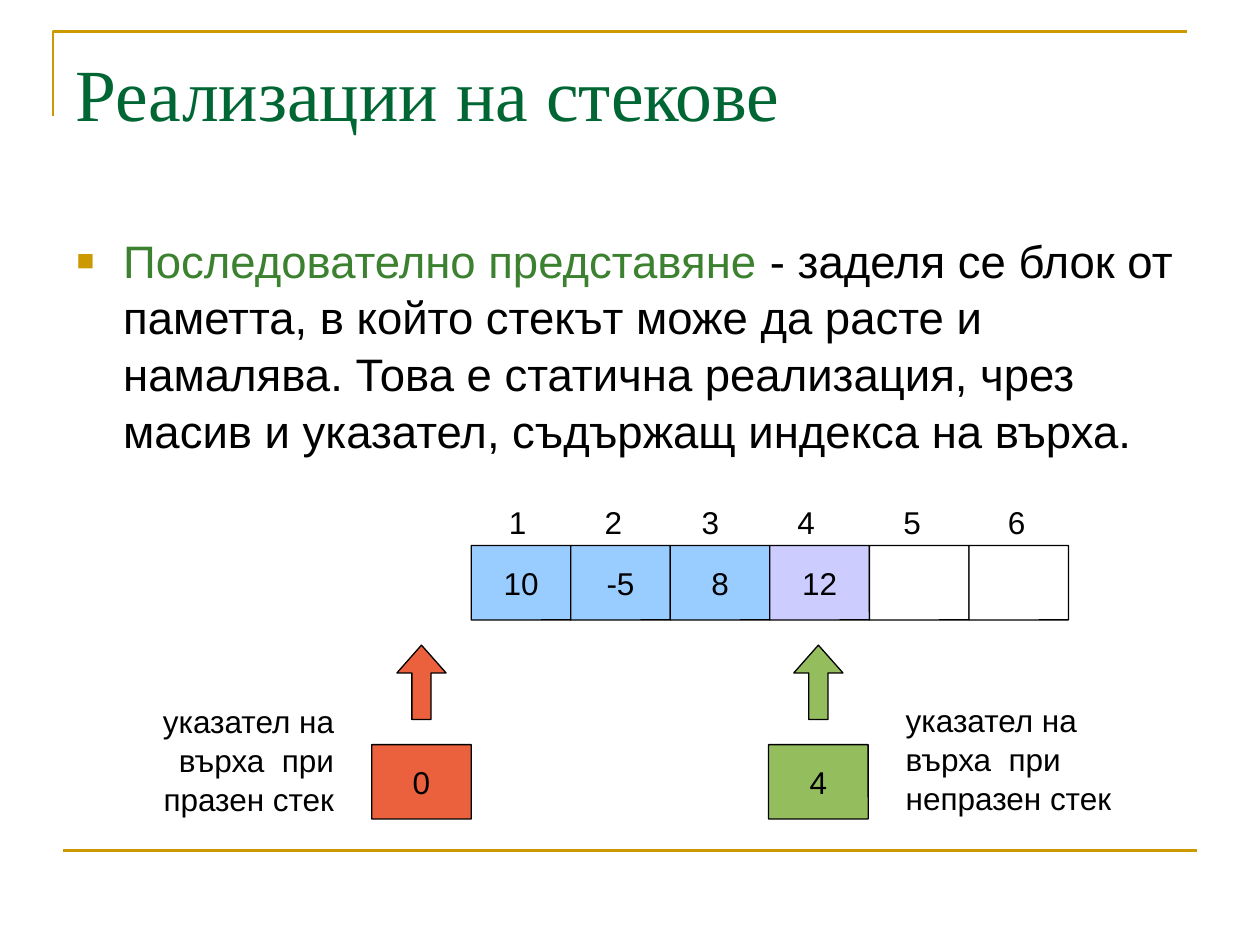
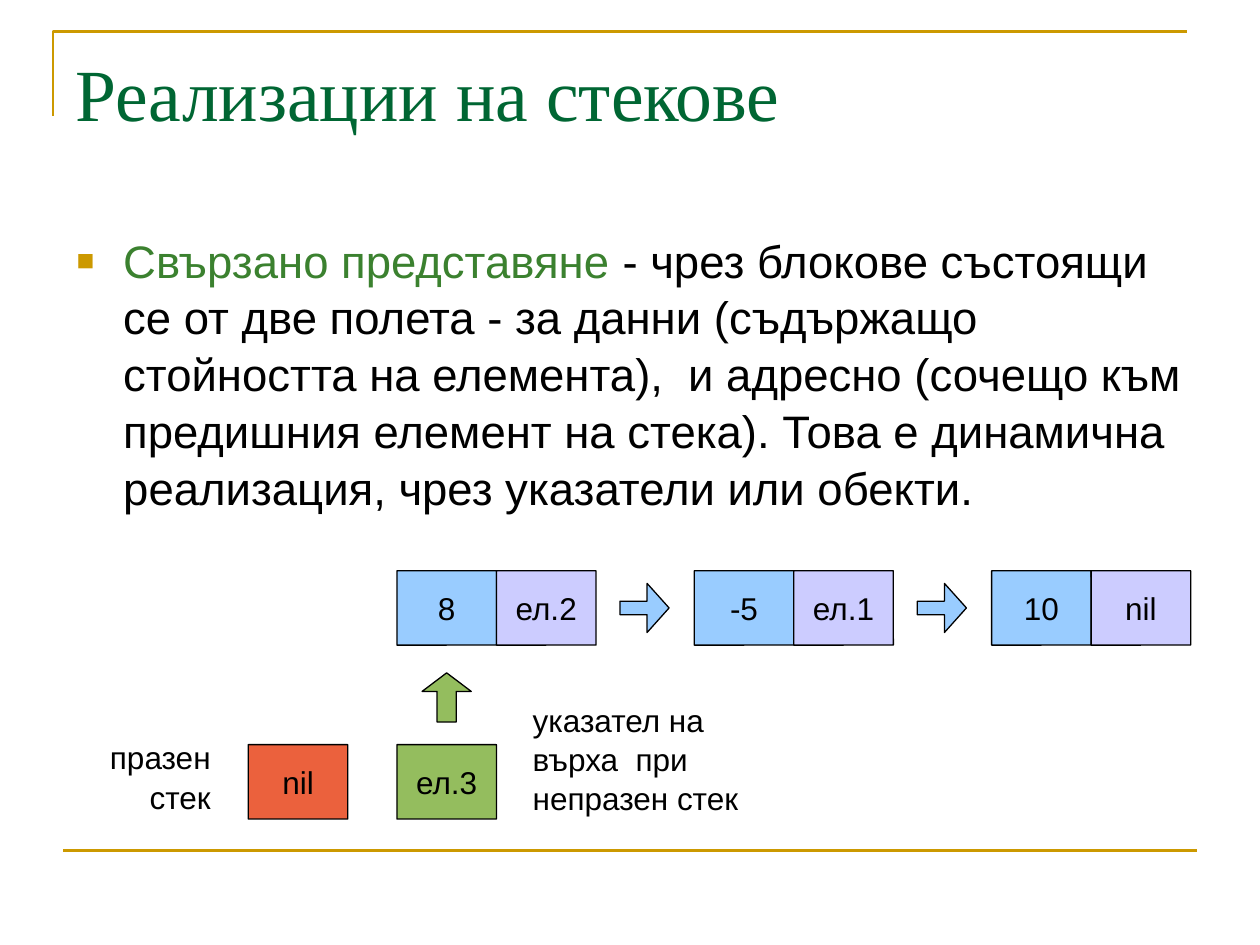
from dataclasses import dataclass

from lxml import etree
from pptx import Presentation
from pptx.dml.color import RGBColor
from pptx.enum.shapes import MSO_CONNECTOR, MSO_SHAPE
from pptx.enum.text import MSO_ANCHOR, MSO_AUTO_SIZE, PP_ALIGN
from pptx.oxml.ns import qn
from pptx.util import Inches, Pt

BOX, UP, RIGHT_ARROW = MSO_SHAPE.ROUNDED_RECTANGLE, MSO_SHAPE.UP_ARROW, MSO_SHAPE.RIGHT_ARROW
LEFT, CENTER, RIGHT = PP_ALIGN.LEFT, PP_ALIGN.CENTER, PP_ALIGN.RIGHT
TOP, MIDDLE = MSO_ANCHOR.TOP, MSO_ANCHOR.MIDDLE

GOLD, DARK_GREEN, TERM_GREEN = "CC9900", "006633", "3B812F"
BLACK, WHITE, BLUE, LILAC = "000000", "FFFFFF", "99CCFF", "CCCCFF"
RED, GREEN = "EB613D", "94BD5E"
BODY_FONT, TITLE_FONT = "Arial", "Times New Roman"

CELL_W, CELL_H, ARROW = 0.79, 0.59, 0.39
ARROW_INSET = (CELL_W - ARROW) / 2
POINTER_TOP = 5.91
LINE_SPACING = 1.04
TITLE = "Реализации на стекове"
TOP_POINTER = "указател на върха  при непразен стек"


@dataclass
class Cell:
    text: str
    fill: str


@dataclass
class Label:
    text: str
    left: float
    top: float
    width: float
    height: float
    align: PP_ALIGN = LEFT


def rgb(color: str) -> RGBColor:
    return RGBColor.from_string(color)


def add_run(p, text: str, size: float, color: str = BLACK, font: str = BODY_FONT) -> None:
    r = p.add_run()
    r.text = text
    r.font.size, r.font.name = Pt(size), font
    r.font.color.rgb = rgb(color)


def add_shape(shapes, kind, left: float, top: float, width: float, height: float,
              fill: str, adjustments: tuple):
    sp = shapes.add_shape(kind, Inches(left), Inches(top), Inches(width), Inches(height))
    sp.shadow.inherit = False
    sp.fill.solid()
    sp.fill.fore_color.rgb = rgb(fill)
    sp.line.color.rgb = rgb(BLACK)
    sp.line.width = Pt(0.74)
    for i, value in enumerate(adjustments):
        sp.adjustments[i] = value
    return sp


def add_cell(shapes, cell: Cell, left: float, top: float) -> None:
    sp = add_shape(shapes, BOX, left, top, CELL_W, CELL_H, cell.fill, (0.003,))
    if cell.text:
        tf = sp.text_frame
        tf.vertical_anchor = MIDDLE
        p = tf.paragraphs[0]
        p.alignment = CENTER
        add_run(p, cell.text, 18)


def add_row(shapes, cells: list[Cell], left: float, top: float) -> None:
    for i, cell in enumerate(cells):
        add_cell(shapes, cell, left + i * CELL_W, top)


def add_pointer(shapes, cell: Cell, left: float, arrow_top: float,
                arrow_h: float, head: float) -> None:
    """A pointer cell with an arrow of the same colour above it."""
    add_cell(shapes, cell, left, POINTER_TOP)
    add_shape(shapes, UP, left + ARROW_INSET, arrow_top, ARROW, arrow_h, cell.fill, (0.389, head))


def add_label(shapes, label: Label, size: float = 18):
    """A wrapped text box; returns its paragraph."""
    sp = shapes.add_textbox(Inches(label.left), Inches(label.top),
                            Inches(label.width), Inches(label.height))
    tf = sp.text_frame
    tf.word_wrap = True
    p = tf.paragraphs[0]
    p.alignment, p.line_spacing = label.align, LINE_SPACING
    if label.text:
        add_run(p, label.text, size)
    return p


def add_indexes(shapes, count: int, left: float, top: float, stops: list[float]) -> None:
    """Cell numbers in one line, each centred on its own tab stop."""
    text = "".join(f"\t{n}" for n in range(1, count + 1))
    p = add_label(shapes, Label(text, left, top, count * CELL_W, 0.4))
    tabs = etree.SubElement(p._p.get_or_add_pPr(), qn("a:tabLst"))
    for stop in stops:
        etree.SubElement(tabs, qn("a:tab"), pos=str(Inches(stop)), algn="ctr")


def add_definition(s, term: str, meaning: str) -> None:
    """The bulleted paragraph: a green term, then its meaning."""
    p = add_label(s.shapes, Label("", 0.51, 1.78, 9, 4.96))
    p.space_before = Pt(6.5)
    add_run(p, term + " ", 26, TERM_GREEN)
    add_run(p, "- " + meaning, 26)
    pPr = p._p.get_or_add_pPr()
    pPr.set("marL", str(Inches(0.37)))
    pPr.set("indent", str(Inches(-0.37)))
    color = etree.SubElement(pPr, qn("a:buClr"))
    etree.SubElement(color, qn("a:srgbClr"), val=GOLD)
    etree.SubElement(pPr, qn("a:buSzPct"), val="65000")
    etree.SubElement(pPr, qn("a:buFont"), typeface=BODY_FONT)
    etree.SubElement(pPr, qn("a:buChar"), char="■")


def add_frame(s, layout) -> None:
    """Draw the gold corner and bottom rule, and move them to the layout."""
    builder = s.shapes.build_freeform(Inches(0.42), Inches(0.92))
    builder.add_line_segments([(Inches(0.42), Inches(0.25)), (Inches(9.42), Inches(0.25))],
                              close=False)
    corner = builder.convert_to_shape()
    corner.fill.background()
    corner.shadow.inherit = False
    rule = s.shapes.add_connector(MSO_CONNECTOR.STRAIGHT, Inches(0.5), Inches(6.75),
                                  Inches(9.5), Inches(6.75))
    for shape_id, sp in enumerate((corner, rule), start=101):
        sp.line.color.rgb = rgb(GOLD)
        sp.line.width = Pt(1.5)
        sp.element.xpath(".//p:cNvPr")[0].set("id", str(shape_id))
        layout.shapes.element.append(sp.element)
    etree.SubElement(rule.element.spPr, qn("a:effectLst"))


def add_slide(prs, layout):
    s = prs.slides.add_slide(layout)
    sp = s.shapes.title
    sp.left, sp.top, sp.width, sp.height = Inches(0.5), Inches(0.3), Inches(9), Inches(1.25)
    tf = sp.text_frame
    tf.word_wrap, tf.auto_size, tf.vertical_anchor = True, MSO_AUTO_SIZE.NONE, TOP
    p = tf.paragraphs[0]
    p.alignment, p.line_spacing = LEFT, LINE_SPACING
    add_run(p, TITLE, 42, DARK_GREEN, TITLE_FONT)
    return s


def array_slide(s) -> None:
    add_definition(s, "Последователно представяне",
                   "заделя се блок от паметта, в който стекът може да расте и намалява. "
                   "Това е статична реализация, чрез масив и указател, "
                   "съдържащ индекса на върха.")
    # Array with its indexes
    left = 3.74
    cells = [Cell("10", BLUE), Cell("-5", BLUE), Cell("8", BLUE), Cell("12", LILAC),
             Cell("", WHITE), Cell("", WHITE)]
    add_row(s.shapes, cells, left, 4.33)
    add_indexes(s.shapes, len(cells), left, 3.93, [0.27, 1.03, 1.8, 2.56, 3.4, 4.23])
    # Pointers to the top: stack in use, empty stack
    add_pointer(s.shapes, Cell("4", GREEN), 6.1, 5.12, 0.59, 0.566)
    add_pointer(s.shapes, Cell("0", RED), 2.95, 5.12, 0.59, 0.566)
    add_label(s.shapes, Label("указател на върха  при празен стек", 0.98, 5.51, 1.77, 1, RIGHT))
    add_label(s.shapes, Label(TOP_POINTER, 7.09, 5.5, 1.97, 1))


def linked_slide(s) -> None:
    add_definition(s, "Свързано представяне",
                   "чрез блокове състоящи се от две полета - за данни (съдържащо "
                   "стойността на елемента),  и адресно (сочещо към предишния елемент "
                   "на стека). Това е динамична реализация, чрез указатели или обекти.")
    # Linked nodes: value and address, an arrow between neighbours
    nodes = [("8", "ел.2"), ("-5", "ел.1"), ("10", "nil")]
    first, step, top = 3.15, 2.36, 4.53
    for i, (value, address) in enumerate(nodes):
        left = first + i * step
        group = s.shapes.add_group_shape()
        add_row(group.shapes, [Cell(value, BLUE), Cell(address, LILAC)], left, top)
        if i < len(nodes) - 1:
            add_shape(s.shapes, RIGHT_ARROW, left + 1.77, top + 0.1, ARROW, ARROW,
                      BLUE, (0.275, 0.448))
    # Empty stack
    add_cell(s.shapes, Cell("nil", RED), 1.97, POINTER_TOP)
    add_label(s.shapes, Label("празен стек", 0.59, 5.8, 1.18, 0.7, RIGHT))
    # Pointer to the top
    group = s.shapes.add_group_shape()
    add_pointer(group.shapes, Cell("ел.3", GREEN), first, 5.34, ARROW, 0.378)
    add_label(group.shapes, Label(TOP_POINTER, 4.13, 5.5, 1.97, 1))


def main() -> None:
    prs = Presentation()
    prs.slide_width, prs.slide_height = Inches(10), Inches(7.5)
    layout = prs.slide_layouts.get_by_name("Title Only")
    slides = [add_slide(prs, layout) for _ in range(2)]
    add_frame(slides[0], layout)
    for s, draw in zip(slides, (array_slide, linked_slide)):
        draw(s)
    prs.save("out.pptx")


main()
